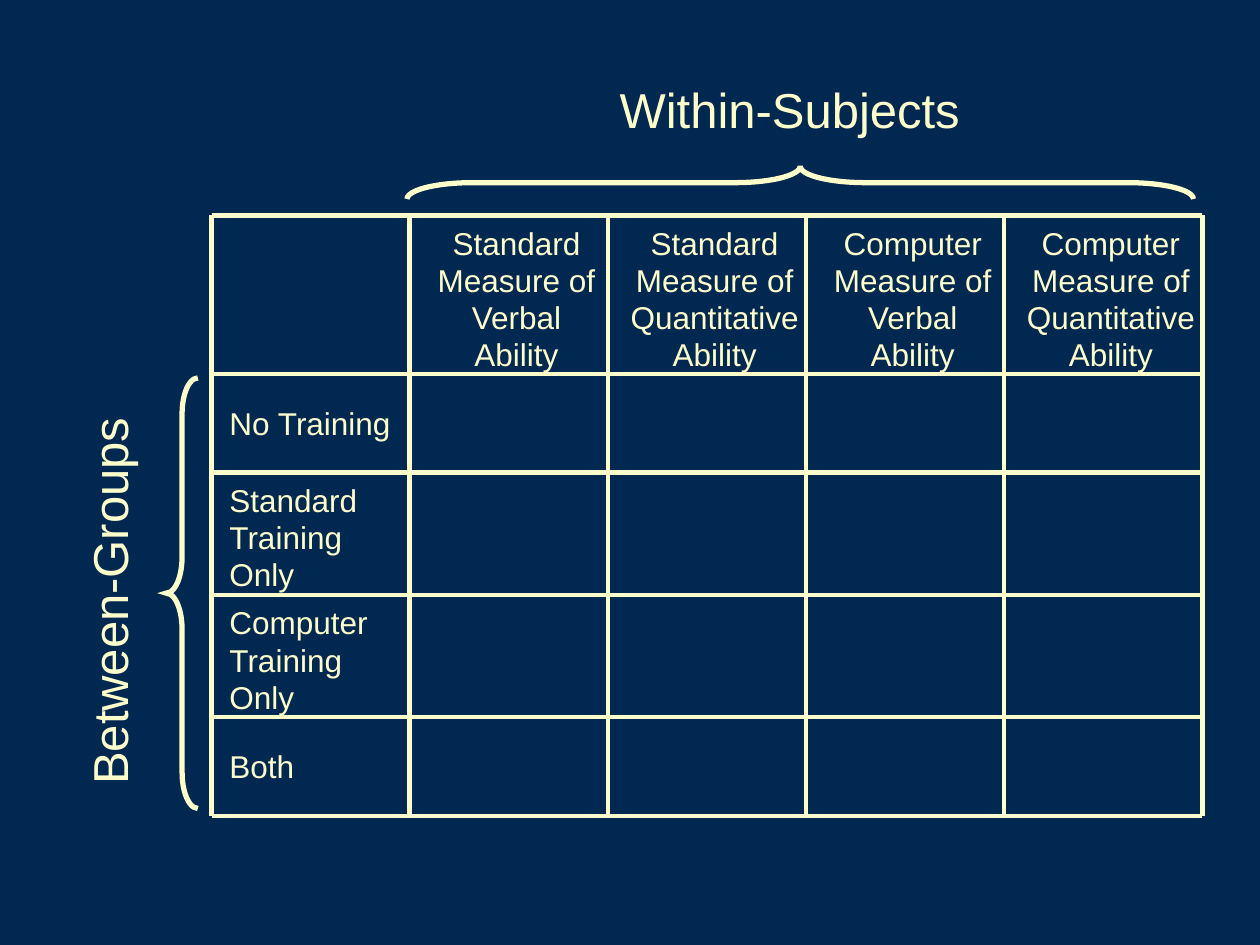
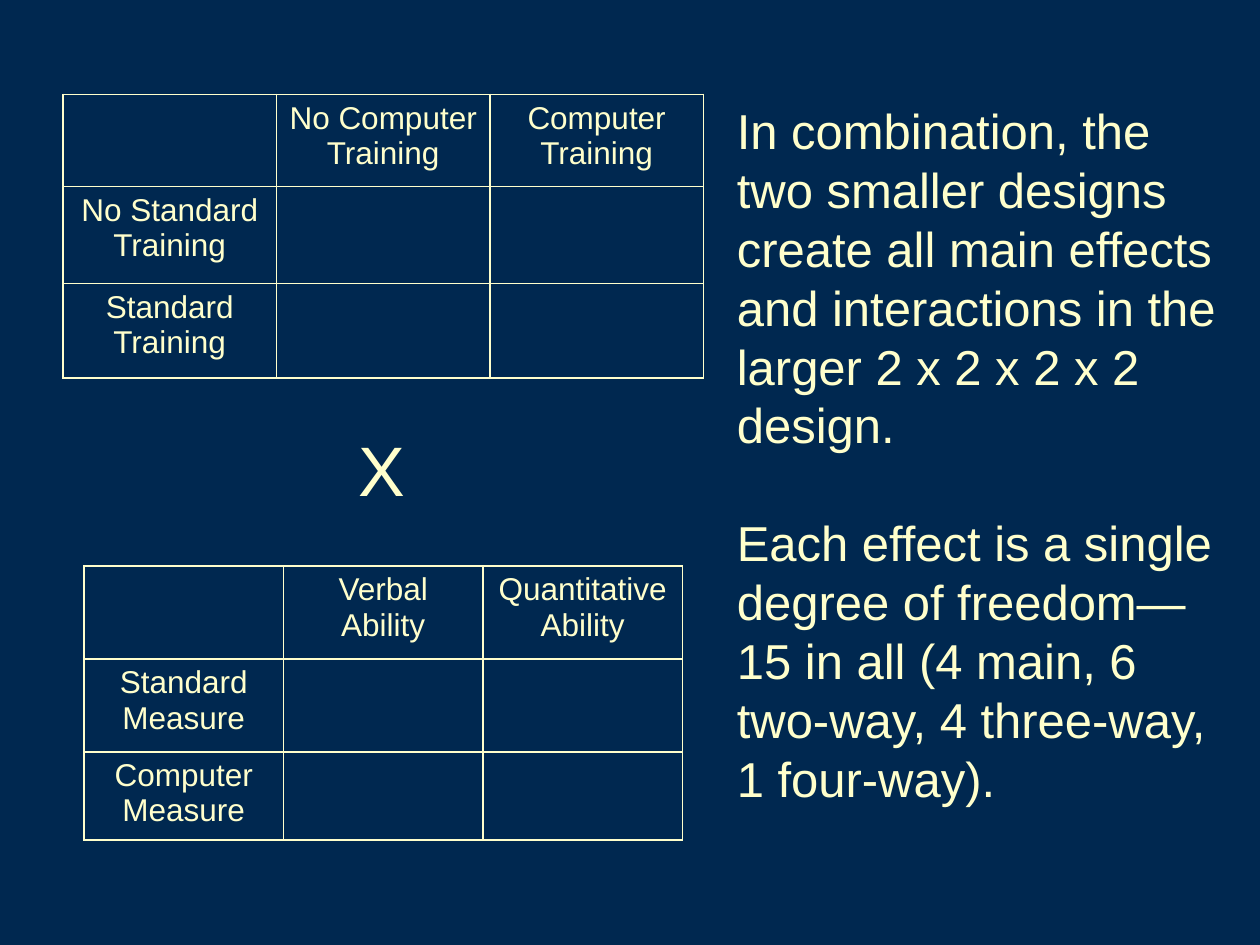
from dataclasses import dataclass
from itertools import accumulate

from lxml.etree import SubElement
from pptx import Presentation
from pptx.dml.color import RGBColor
from pptx.enum.shapes import MSO_CONNECTOR, MSO_SHAPE
from pptx.enum.text import PP_ALIGN
from pptx.oxml.ns import qn
from pptx.slide import Slide
from pptx.util import Inches, Pt

COLORS = {"background": "002850", "ink": "FFFFCC"}
FONT = "Arial"
CELL_SIZE = 18
CELL_LINE_POINTS = 21.2
CELL_LINE_ROWS = 3.53
SLIDE_WIDTH, SLIDE_HEIGHT = Inches(10), Inches(7.5)
COLUMN = SLIDE_WIDTH / 120
ROW = SLIDE_HEIGHT / 90


@dataclass(frozen=True)
class Box:
    left: float
    top: float
    width: float
    height: float

    def turned(self) -> "Box":
        shift = (self.width - self.height) / 2
        return Box(self.left + shift, self.top - shift, self.height, self.width)

    def emu(self) -> tuple[int, int, int, int]:
        return (round(self.left * COLUMN), round(self.top * ROW),
                round(self.width * COLUMN), round(self.height * ROW))


@dataclass(frozen=True)
class Label:
    box: Box
    paragraphs: tuple[str, ...]
    size: float = 28
    rotation: int = 0
    gap: float = 0
    alignment: PP_ALIGN = PP_ALIGN.LEFT
    margins: tuple[float, float] = (0.1, 0.05)
    line_points: float | None = None


@dataclass(frozen=True)
class Brace:
    box: Box
    curve: float
    rotation: int = 0


@dataclass(frozen=True)
class Design:
    left: float
    top: float
    column_width: float
    row_heights: tuple[float, ...]
    headings: tuple[str, ...]
    groups: tuple[str, ...]

    def columns(self) -> int:
        return len(self.headings) + 1

    def width(self) -> float:
        return self.column_width * self.columns()

    def height(self) -> float:
        return sum(self.row_heights)


FACTORIAL_GRID = Design(
    20.16, 20.5, 18.87, (15.12, 9.4, 11.64, 11.64, 9.4),
    tuple(f"{kind}\vMeasure of\v{ability}\vAbility"
          for kind in ("Standard", "Computer")
          for ability in ("Verbal", "Quantitative")),
    ("No Training", "Standard\vTraining\vOnly", "Computer\vTraining\vOnly", "Both"))

SMALL_TABLES = (
    Design(6, 9, 20.33, (8.75, 9.25, 9),
           ("No Computer Training", "Computer Training"),
           ("No Standard Training", "Standard Training")),
    Design(8, 53.9, 19, (8.85, 8.85, 8.4),
           ("Verbal Ability", "Quantitative Ability"),
           ("Standard Measure", "Computer Measure")),
)

BRACES = (Brace(Box(38.76, 15.84, 74.9, 3.12), 2, 90),
          Brace(Box(15.84, 36, 3, 41), 1.14))

FACTOR_LABELS = (Label(Box(57.84, 6.96, 37, 6.84), ("Within-Subjects",)),
                 Label(Box(6.96, 37.92, 6.84, 38), ("Between-Groups",), rotation=270))

COMBINATION_LABELS = (
    Label(Box(33, 40, 8, 9.2), ("X",), size=40),
    Label(Box(69, 9, 49, 68.5),
          ("In combination, the two smaller designs create all main effects "
           "and interactions in the larger 2 x 2 x 2 x 2 design.",
           "Each effect is a single degree of freedom—15 in all "
           "(4 main, 6 two-way, 4 three-way, 1 four-way)."),
          gap=33.7),
)


def color(name: str) -> RGBColor:
    return RGBColor.from_string(COLORS[name])


def style_font(paragraph, size: float) -> None:
    font = paragraph.font
    font.name, font.size = FONT, Pt(size)
    font.color.rgb = color("ink")


def add_label(slide: Slide, label: Label) -> None:
    box = label.box.turned() if label.rotation else label.box
    shape = slide.shapes.add_textbox(*box.emu())
    shape.rotation = label.rotation
    frame = shape.text_frame
    frame.word_wrap = True
    frame.margin_left = frame.margin_right = Inches(label.margins[0])
    frame.margin_top = frame.margin_bottom = Inches(label.margins[1])
    for index, text in enumerate(label.paragraphs):
        paragraph = frame.add_paragraph() if index else frame.paragraphs[0]
        paragraph.text = text
        paragraph.alignment = label.alignment
        paragraph.line_spacing = Pt(label.line_points) if label.line_points else 1.0
        if index:
            paragraph.space_before = Pt(label.gap)
        style_font(paragraph, label.size)


def add_brace(slide: Slide, brace: Brace) -> None:
    box = brace.box.turned() if brace.rotation else brace.box
    shape = slide.shapes.add_shape(MSO_SHAPE.LEFT_BRACE, *box.emu())
    shape.rotation = brace.rotation
    shape.adjustments[0] = brace.curve
    shape.shadow.inherit = False
    shape.fill.background()
    shape.line.color.rgb = color("ink")
    shape.line.width = Pt(3)
    SubElement(shape.line._get_or_add_ln(), qn("a:miter"), lim="800000")


def add_grid_line(slide: Slide, line: Box) -> None:
    left, top, width, height = line.emu()
    connector = slide.shapes.add_connector(
        MSO_CONNECTOR.STRAIGHT, left, top, left + width, top + height)
    connector.line.color.rgb = color("ink")
    connector.line.width = Pt(2.64)
    SubElement(connector._element.spPr, qn("a:effectLst"))


def add_cell_label(slide: Slide, text: str, cell: Box, alignment: PP_ALIGN,
                   indent: float, width: float) -> None:
    height = CELL_LINE_ROWS * len(text.split("\v"))
    offset = max(0.88, (cell.height - height) / 2)
    box = Box(cell.left + indent, cell.top + offset, width, height)
    add_label(slide, Label(box, (text,), CELL_SIZE, alignment=alignment,
                           margins=(0, 0), line_points=CELL_LINE_POINTS))


def add_design_grid(slide: Slide, design: Design) -> None:
    lefts = [design.left + design.column_width * index
             for index in range(design.columns() + 1)]
    tops = list(accumulate(design.row_heights, initial=design.top))
    for left, heading in zip(lefts[1:], design.headings):
        cell = Box(left, tops[0], design.column_width, design.row_heights[0])
        add_cell_label(slide, heading, cell, PP_ALIGN.CENTER, 0.73, design.column_width)
    for top, height, group in zip(tops[1:], design.row_heights[1:], design.groups):
        cell = Box(design.left, top, design.column_width, height)
        add_cell_label(slide, group, cell, PP_ALIGN.LEFT, 1.7, design.column_width - 1.7)
    for top in tops:
        add_grid_line(slide, Box(design.left, top, design.width(), 0))
    for left in lefts:
        add_grid_line(slide, Box(left, design.top, 0, design.height()))


def set_borders(cell) -> None:
    properties = cell._tc.get_or_add_tcPr()
    for position, side in enumerate(("lnL", "lnR", "lnT", "lnB")):
        line = SubElement(properties, qn(f"a:{side}"), w=str(Pt(1.08)))
        fill = SubElement(line, qn("a:solidFill"))
        SubElement(fill, qn("a:srgbClr"), val=COLORS["ink"])
        properties.insert(position, line)


def add_design_table(slide: Slide, design: Design) -> None:
    rows = [("", *design.headings)]
    rows += [(group, *("" for _ in design.headings)) for group in design.groups]
    box = Box(design.left, design.top, design.width(), design.height())
    table = slide.shapes.add_table(len(rows), design.columns(), *box.emu()).table
    table.first_row = table.horz_banding = False
    for column in table.columns:
        column.width = round(design.column_width * COLUMN)
    for row_index, texts in enumerate(rows):
        table.rows[row_index].height = round(design.row_heights[row_index] * ROW)
        for column_index, text in enumerate(texts):
            cell = table.cell(row_index, column_index)
            cell.fill.background()
            set_borders(cell)
            cell.text = text
            paragraph = cell.text_frame.paragraphs[0]
            paragraph.alignment = PP_ALIGN.CENTER
            style_font(paragraph, CELL_SIZE)


def add_blank_slide(presentation) -> Slide:
    slide = presentation.slides.add_slide(presentation.slide_layouts[6])
    slide.background.fill.solid()
    slide.background.fill.fore_color.rgb = color("background")
    return slide


def main() -> None:
    presentation = Presentation()
    presentation.slide_width, presentation.slide_height = SLIDE_WIDTH, SLIDE_HEIGHT

    factorial = add_blank_slide(presentation)
    for brace in BRACES:
        add_brace(factorial, brace)
    for label in FACTOR_LABELS:
        add_label(factorial, label)
    add_design_grid(factorial, FACTORIAL_GRID)

    combination = add_blank_slide(presentation)
    for design in SMALL_TABLES:
        add_design_table(combination, design)
    for label in COMBINATION_LABELS:
        add_label(combination, label)

    presentation.save("out.pptx")


if __name__ == "__main__":
    main()
